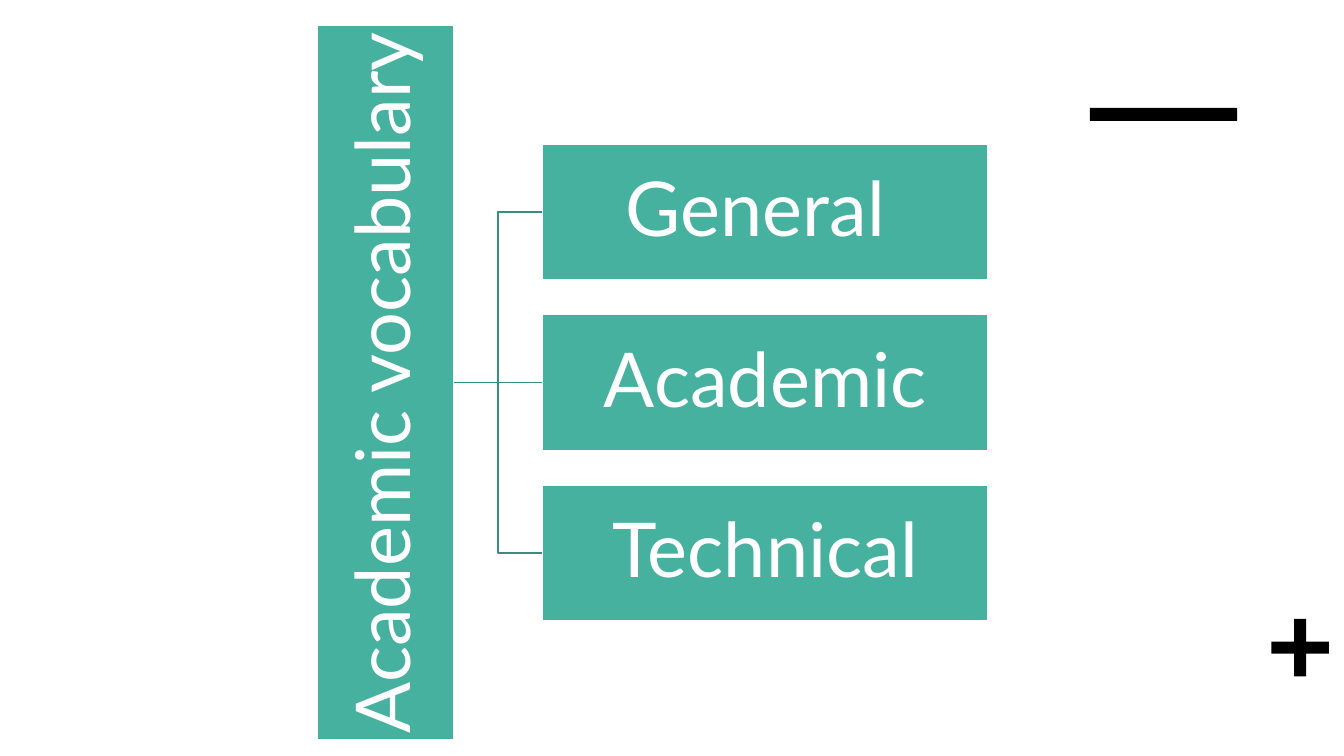
import dataclasses

import pptx
import pptx.dml.color
import pptx.enum.shapes
import pptx.enum.text
import pptx.oxml.ns
import pptx.util
from lxml import etree

Inches = pptx.util.Inches
Pt = pptx.util.Pt
RGB = pptx.dml.color.RGBColor
SHAPE = pptx.enum.shapes.MSO_SHAPE
CONNECTOR = pptx.enum.shapes.MSO_CONNECTOR


@dataclasses.dataclass(frozen=True)
class Theme:
    """Colours and type of the slide."""

    box: RGB = RGB(0x45, 0xB1, 0x9E)
    line: RGB = RGB(0x37, 0x8E, 0x7F)
    white: RGB = RGB(0xFF, 0xFF, 0xFF)
    black: RGB = RGB(0, 0, 0)
    font: str = "Lato"
    size: Pt = Pt(54)
    weight: Pt = Pt(1)


class Diagram:
    """Draws tree boxes, links and signs on one slide."""

    def __init__(self, s, theme):
        """Keep the slide and its style."""
        self.s = s
        self.theme = theme

    def shape(self, kind, x, y, w, h, fill):
        """Add a plain filled shape."""
        sp = self.s.shapes.add_shape(kind, Inches(x), Inches(y), Inches(w), Inches(h))
        sp.shadow.inherit = False
        sp.fill.solid()
        sp.fill.fore_color.rgb = fill
        sp.line.fill.background()
        return sp

    def box(self, text, x, y, w, h, vertical=False):
        """Add a labelled tree box."""
        t = self.theme
        sp = self.shape(SHAPE.RECTANGLE, x, y, w, h, t.box)
        sp.line.color.rgb = t.white
        sp.line.width = t.weight
        tf = sp.text_frame
        tf.word_wrap = not vertical
        tf.vertical_anchor = pptx.enum.text.MSO_ANCHOR.MIDDLE
        tf.margin_left = tf.margin_right = tf.margin_top = tf.margin_bottom = Inches(0.04)
        if vertical:
            sp.element.txBody.bodyPr.set("vert", "vert270")
        p = tf.paragraphs[0]
        p.text = text
        p.alignment = pptx.enum.text.PP_ALIGN.CENTER
        p.line_spacing = 0.9
        p.font.name = t.font
        p.font.size = t.size
        p.font.color.rgb = t.white
        return sp

    def link(self, kind, root, branch):
        """Join the right side of the root to the left side of a branch."""
        c = self.s.shapes.add_connector(kind, 0, 0, 0, 0)
        c.begin_connect(root, 3)
        c.end_connect(branch, 1)
        c.line.color.rgb = self.theme.line
        c.line.width = self.theme.weight
        etree.SubElement(c.element.spPr, pptx.oxml.ns.qn("a:effectLst"))


def main():
    """Build the slide and save it."""
    prs = pptx.Presentation()
    prs.slide_width = Inches(13.33)
    prs.slide_height = Inches(7.5)
    theme = Theme()
    d = Diagram(prs.slides.add_slide(prs.slide_layouts[6]), theme)

    plus = d.shape(SHAPE.CROSS, 12.61, 6.14, 0.57, 0.57, theme.black)
    plus.adjustments[0] = 0.395
    d.shape(SHAPE.RECTANGLE, 10.81, 1.07, 1.46, 0.13, theme.black)

    root = d.box("Academic vocabulary", 3.15, 0.25, 1.35, 7.09, vertical=True)
    branches = (
        ("General ", CONNECTOR.ELBOW),
        ("Academic", CONNECTOR.STRAIGHT),
        ("Technical", CONNECTOR.ELBOW),
    )
    for i, (label, kind) in enumerate(branches):
        branch = d.box(label, 5.38, 1.43 + 1.69 * i, 4.42, 1.35)
        d.link(kind, root, branch)

    prs.save("out.pptx")


if __name__ == "__main__":
    main()
